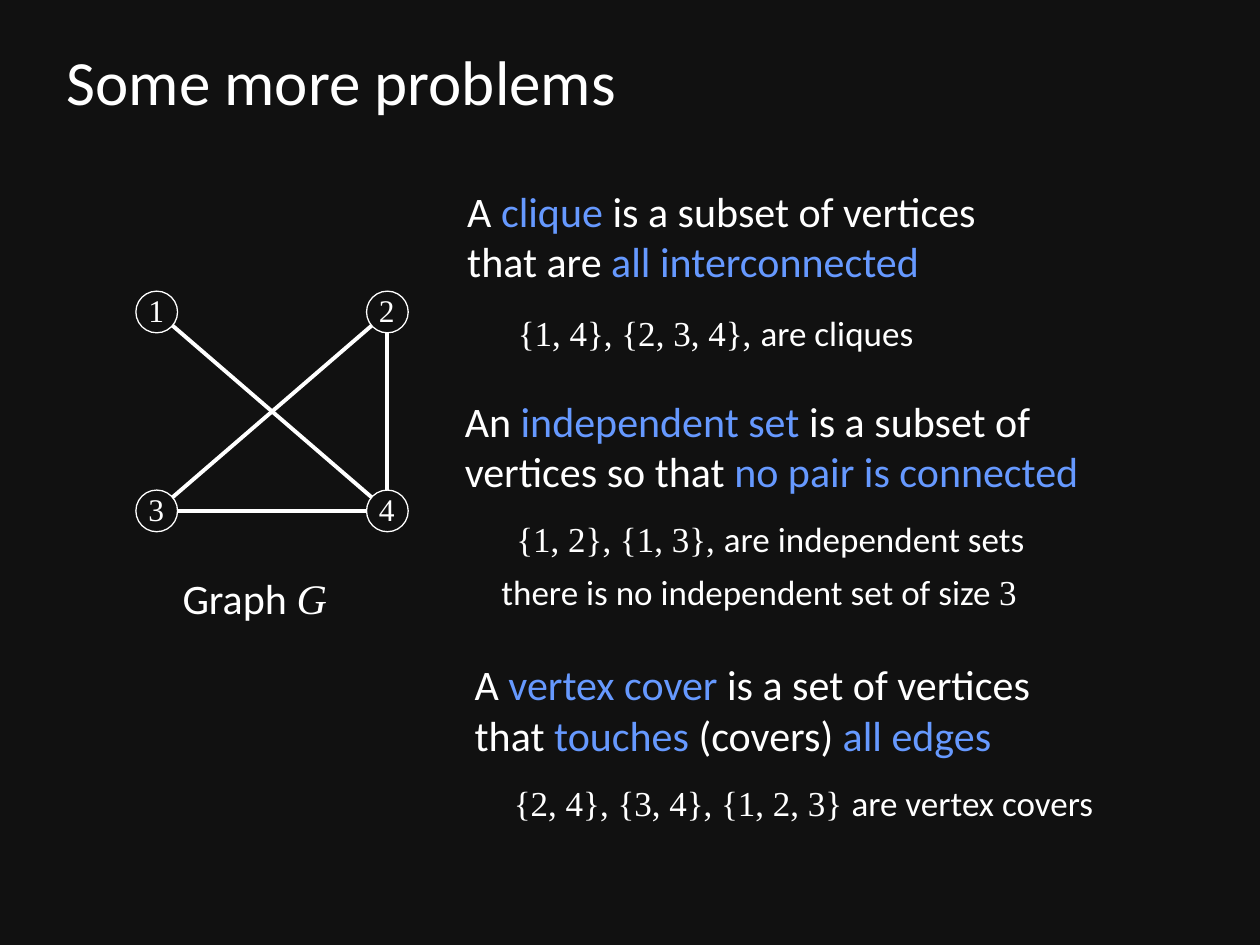
from pptx import Presentation
from pptx.dml.color import RGBColor
from pptx.enum.shapes import MSO_CONNECTOR, MSO_SHAPE
from pptx.enum.text import MSO_ANCHOR, MSO_AUTO_SIZE, PP_ALIGN
from pptx.oxml.ns import qn
from pptx.util import Cm, Pt

STRAIGHT = MSO_CONNECTOR.STRAIGHT
OVAL = MSO_SHAPE.OVAL
TOP, MIDDLE = MSO_ANCHOR.TOP, MSO_ANCHOR.MIDDLE
NO_AUTOSIZE = MSO_AUTO_SIZE.NONE
LEFT = PP_ALIGN.LEFT

COLORS = {"background": "111111", "text": "FFFFFF", "term": "6699FF"}
STYLES = {
    "plain": ("Calibri", "text", False),
    "term": ("Calibri", "term", False),
    "math": ("Times New Roman", "text", False),
    "variable": ("Times New Roman", "text", True),
}

NODE_SIZE = 0.84
COLUMN_STEP, ROW_STEP = 4.65, 4.01
NODES = {"1": (0, 0), "2": (1, 0), "3": (0, 1), "4": (1, 1)}
EDGES = ["14", "24", "34", "23"]

DEFINITIONS = [
    {
        "box": (9.17, 3.61, 12.55, 2.29),
        "lines": [
            [("A ", "plain"), ("clique", "term"), (" is a subset of vertices", "plain")],
            [("that are ", "plain"), ("all interconnected", "term")],
        ],
        "examples": [
            ((1.02, 2.54, 9.07),
             [("{1, 4}, {2, 3, 4}, ", "math"), ("are cliques", "plain")]),
        ],
    },
    {
        "box": (9.12, 7.85, 14.81, 2.29),
        "lines": [
            [("An ", "plain"), ("independent set", "term"), (" is a subset of", "plain")],
            [("vertices so that ", "plain"), ("no pair is connected", "term")],
        ],
        "examples": [
            ((1.04, 2.46, 11.76),
             [("{1, 2}, {1, 3}, ", "math"), ("are independent sets", "plain")]),
            ((0.74, 3.53, 12.52),
             [("there is no independent set of size ", "plain"), ("3", "math")]),
        ],
    },
    {
        "box": (9.32, 13.16, 13.64, 2.29),
        "lines": [
            [("A ", "plain"), ("vertex cover ", "term"), ("is a set of vertices", "plain")],
            [("that ", "plain"), ("touches ", "term"), ("(covers)", "plain"),
             (" all edges", "term")],
        ],
        "examples": [
            ((0.79, 2.46, 13.11),
             [("{2, 4}, {3, 4}, {1, 2, 3} ", "math"), ("are vertex covers", "plain")]),
        ],
    },
]


def color(name):
    return RGBColor.from_string(COLORS[name])


def write_text(shape, lines, size=24, anchor=TOP):
    frame = shape.text_frame
    frame.word_wrap = True
    frame.auto_size = NO_AUTOSIZE
    frame.vertical_anchor = anchor
    for index, line in enumerate(lines):
        paragraph = frame.add_paragraph() if index else frame.paragraphs[0]
        paragraph.alignment = LEFT
        for text, style in line:
            font_name, color_name, italic = STYLES[style]
            run = paragraph.add_run()
            run.text = text
            run.font.name = font_name
            run.font.size = Pt(size)
            run.font.italic = italic
            run.font.color.rgb = color(color_name)


def add_text(slide, box, lines, **text_format):
    shape = slide.shapes.add_textbox(*map(Cm, box))
    write_text(shape, lines, **text_format)


def place_title(slide, box, text):
    title = slide.shapes.title
    title.left, title.top, title.width, title.height = map(Cm, box)
    write_text(title, [[(text, "plain")]], size=36, anchor=MIDDLE)


def add_edge(slide, start, end):
    edge = slide.shapes.add_connector(STRAIGHT, *map(Cm, start + end))
    edge.line.color.rgb = color("text")
    edge.line.width = Pt(2.25)
    properties = edge._element.spPr
    properties.append(properties.makeelement(qn("a:effectLst"), {}))


def add_node(slide, left, top, label):
    node = slide.shapes.add_shape(OVAL, *map(Cm, (left, top, NODE_SIZE, NODE_SIZE)))
    node.shadow.inherit = False
    node.fill.solid()
    node.fill.fore_color.rgb = color("background")
    node.line.color.rgb = color("text")
    node.line.width = Pt(0.75)
    add_text(slide, (left, top - 0.13, 0.88, 1.02), [[(label, "math")]], size=18)


def add_graph(slide, left, top):
    corners = {
        label: (left + column * COLUMN_STEP, top + row * ROW_STEP)
        for label, (column, row) in NODES.items()
    }
    centers = {
        label: (x + NODE_SIZE / 2, y + NODE_SIZE / 2)
        for label, (x, y) in corners.items()
    }
    for start, end in EDGES:
        add_edge(slide, centers[start], centers[end])
    for label, (x, y) in corners.items():
        add_node(slide, x, y, label)
    add_text(slide, (left + 0.69, top + 5.54, 3.81, 1.27),
             [[("Graph ", "plain"), ("G", "variable")]])


def add_definition(slide, box, lines, examples):
    left, top = box[:2]
    add_text(slide, box, lines)
    for (indent, drop, width), line in examples:
        add_text(slide, (left + indent, top + drop, width, 1.12), [line], size=20)


def main():
    presentation = Presentation()
    presentation.slide_width = Cm(25.4)
    presentation.slide_height = Cm(19.05)
    slide = presentation.slides.add_slide(presentation.slide_layouts[5])
    slide.background.fill.solid()
    slide.background.fill.fore_color.rgb = color("background")
    place_title(slide, (1.09, 0.71, 23.22, 1.83), "Some more problems")
    add_graph(slide, 2.74, 5.87)
    for definition in DEFINITIONS:
        add_definition(slide, **definition)
    presentation.save("out.pptx")


if __name__ == "__main__":
    main()
